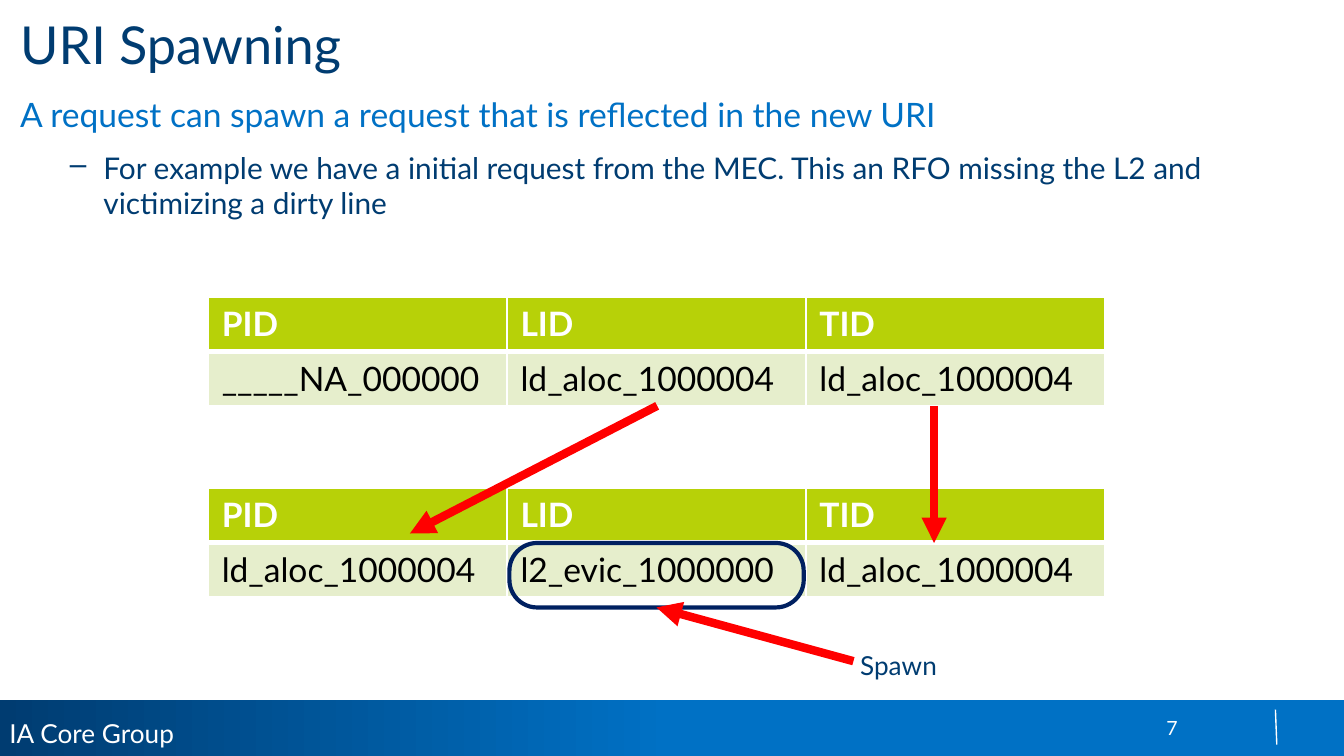
"""Build the slide that shows how a request spawns a new URI."""
import pptx
import pptx.dml.color
import pptx.enum.shapes
import pptx.enum.text
import pptx.oxml
import pptx.oxml.ns
import pptx.util
from pptx.util import Inches

RGBColor = pptx.dml.color.RGBColor
SHAPE = pptx.enum.shapes.MSO_SHAPE
STRAIGHT = pptx.enum.shapes.MSO_CONNECTOR.STRAIGHT

NAVY = RGBColor(0x00, 0x3C, 0x71)
BLUE = RGBColor(0x00, 0x71, 0xC5)
OUTLINE = RGBColor(0x00, 0x20, 0x60)
LIME = RGBColor(0xB7, 0xD1, 0x08)
PALE = RGBColor(0xE6, 0xEE, 0xCC)
RED = RGBColor(0xFF, 0x00, 0x00)
WHITE = RGBColor(0xFF, 0xFF, 0xFF)
BLACK = RGBColor(0x00, 0x00, 0x00)

FONT = "Lato"
TABLE_LEFT, TABLE_WIDTH, TABLE_HEIGHT = 1.55, 6.67, 0.81
HEADINGS = ("PID", "LID", "TID")
REQUESTS = (
    (2.21, ("_____NA_000000", "ld_aloc_1000004", "ld_aloc_1000004")),
    (3.63, ("ld_aloc_1000004", "l2_evic_1000000", "ld_aloc_1000004")),
)


def write(paragraph, text, size=18, color=NAVY, bold=False, before=None):
    """Put formatted text in a paragraph."""
    paragraph.alignment = pptx.enum.text.PP_ALIGN.LEFT
    if before is not None:
        paragraph.space_before = pptx.util.Pt(before)
    run = paragraph.add_run()
    run.text = text
    run.font.name = FONT
    run.font.size = pptx.util.Pt(size)
    run.font.bold = bold
    run.font.color.rgb = color


def prepare_frame(shape, inset=0, wrap=True):
    """Set the insets, anchor and wrapping of a shape's text frame."""
    frame = shape.text_frame
    frame.margin_left = frame.margin_right = Inches(inset)
    frame.margin_top = frame.margin_bottom = Inches(inset / 2)
    frame.vertical_anchor = pptx.enum.text.MSO_ANCHOR.TOP
    frame.auto_size = pptx.enum.text.MSO_AUTO_SIZE.NONE
    frame.word_wrap = wrap
    return frame


def add_text(slide, box, text, inset=0, wrap=True, **text_format):
    """Add a text box and return its frame."""
    shape = slide.shapes.add_textbox(*map(Inches, box))
    frame = prepare_frame(shape, inset, wrap)
    write(frame.paragraphs[0], text, **text_format)
    return frame


def add_dash(paragraph, margin, indent):
    """Give a paragraph a hanging dash bullet."""
    properties = paragraph._p.get_or_add_pPr()
    properties.set("marL", str(Inches(margin)))
    properties.set("indent", str(Inches(indent)))
    bullet = pptx.oxml.parse_xml(
        f'<a:buChar {pptx.oxml.ns.nsdecls("a")} char="–"/>')
    properties.append(bullet)


def add_line(slide, start, end, color, width, arrow=False):
    """Add a straight line, with an arrowhead at its end if asked."""
    line = slide.shapes.add_connector(STRAIGHT, *map(Inches, start + end))
    line.line.color.rgb = color
    line.line.width = pptx.util.Pt(width)
    namespace = pptx.oxml.ns.nsdecls("a")
    if arrow:
        head = pptx.oxml.parse_xml(f'<a:tailEnd {namespace} type="triangle"/>')
        line.line._get_or_add_ln().append(head)
    line._element.spPr.append(pptx.oxml.parse_xml(f"<a:effectLst {namespace}/>"))
    return line


def format_cell(cell, text, fill, color, bold, top, bottom):
    """Fill a cell with text, a colour and white borders."""
    properties = cell._tc.get_or_add_tcPr()
    for side, width in (("L", 1), ("R", 1), ("T", top), ("B", bottom)):
        properties.append(pptx.oxml.parse_xml(
            f'<a:ln{side} {pptx.oxml.ns.nsdecls("a")} w="{pptx.util.Pt(width)}">'
            f'<a:solidFill><a:srgbClr val="{WHITE}"/></a:solidFill></a:ln{side}>'))
    cell.fill.solid()
    cell.fill.fore_color.rgb = fill
    write(cell.text_frame.paragraphs[0], text, color=color, bold=bold)


def add_request_table(slide, top, values):
    """Add a table with the three identifiers of one request."""
    box = (TABLE_LEFT, top, TABLE_WIDTH, TABLE_HEIGHT)
    table = slide.shapes.add_table(2, len(HEADINGS), *map(Inches, box)).table
    table.horz_banding = False
    for column, (heading, value) in enumerate(zip(HEADINGS, values)):
        format_cell(table.cell(0, column), heading, LIME, WHITE, True, 1, 3)
        format_cell(table.cell(1, column), value, PALE, BLACK, False, 3, 1)


def add_footer(slide):
    """Add the gradient band with group name, divider and page number."""
    band = slide.shapes.add_shape(
        SHAPE.RECTANGLE, *map(Inches, (0, 5.21, 10, 0.42)))
    band.shadow.inherit = False
    band.line.fill.background()
    band.fill.gradient()
    band.fill.gradient_angle = 0
    stops = zip(band.fill.gradient_stops, (NAVY, BLUE), (0, 0.5))
    for stop, color, position in stops:
        stop.color.rgb = color
        stop.position = position
    add_text(slide, (0.07, 5.34, 1.25, 0.24), "IA Core Group",
             wrap=False, size=14, color=WHITE)
    add_line(slide, (9.49, 5.28), (9.5, 5.54), WHITE, 0.75)
    add_text(slide, (8.58, 5.28, 0.43, 0.3), "7",
             inset=0.1, size=10.5, color=WHITE)


def add_heading(slide):
    """Fill the title and add the explanation below it."""
    title = slide.shapes.title
    title.left, title.top, title.width, title.height = map(
        Inches, (0.15, 0.09, 9.75, 0.53))
    write(prepare_frame(title).paragraphs[0], "URI Spawning", size=28)
    frame = add_text(
        slide, (0.15, 0.7, 9.68, 4.46),
        "A request can spawn a request that is reflected in the new URI",
        color=BLUE, before=12)
    example = frame.add_paragraph()
    example.level = 1
    write(example, "For example we have a initial request from the MEC. "
          "This an RFO missing the L2 and victimizing a dirty line",
          size=16, before=8)
    add_dash(example, 0.62, -0.25)


def add_spawn_marks(slide):
    """Add the inheritance arrows and mark the spawned identifier."""
    add_line(slide, (4.89, 3.02), (3.05, 3.97), RED, 4.5, arrow=True)
    add_line(slide, (6.95, 3.02), (6.95, 4.04), RED, 4.5, arrow=True)
    ring = slide.shapes.add_shape(
        SHAPE.ROUNDED_RECTANGLE, *map(Inches, (3.79, 4.04, 2.19, 0.48)))
    ring.adjustments[0] = 0.43
    ring.shadow.inherit = False
    ring.fill.background()
    ring.line.color.rgb = OUTLINE
    ring.line.width = pptx.util.Pt(2.25)
    arrow = add_line(slide, (6.35, 4.92), (4.89, 4.51), RED, 4.5, arrow=True)
    arrow.end_connect(ring, 2)
    add_text(slide, (6.4, 4.83, 0.82, 0.18), "Spawn", wrap=False, size=14)


def main():
    """Build and save the presentation."""
    presentation = pptx.Presentation()
    presentation.slide_width = Inches(10)
    presentation.slide_height = Inches(10 * 9 / 16)
    slide = presentation.slides.add_slide(presentation.slide_layouts[5])
    add_footer(slide)
    add_heading(slide)
    for top, values in REQUESTS:
        add_request_table(slide, top, values)
    add_spawn_marks(slide)
    presentation.save("out.pptx")


if __name__ == "__main__":
    main()
